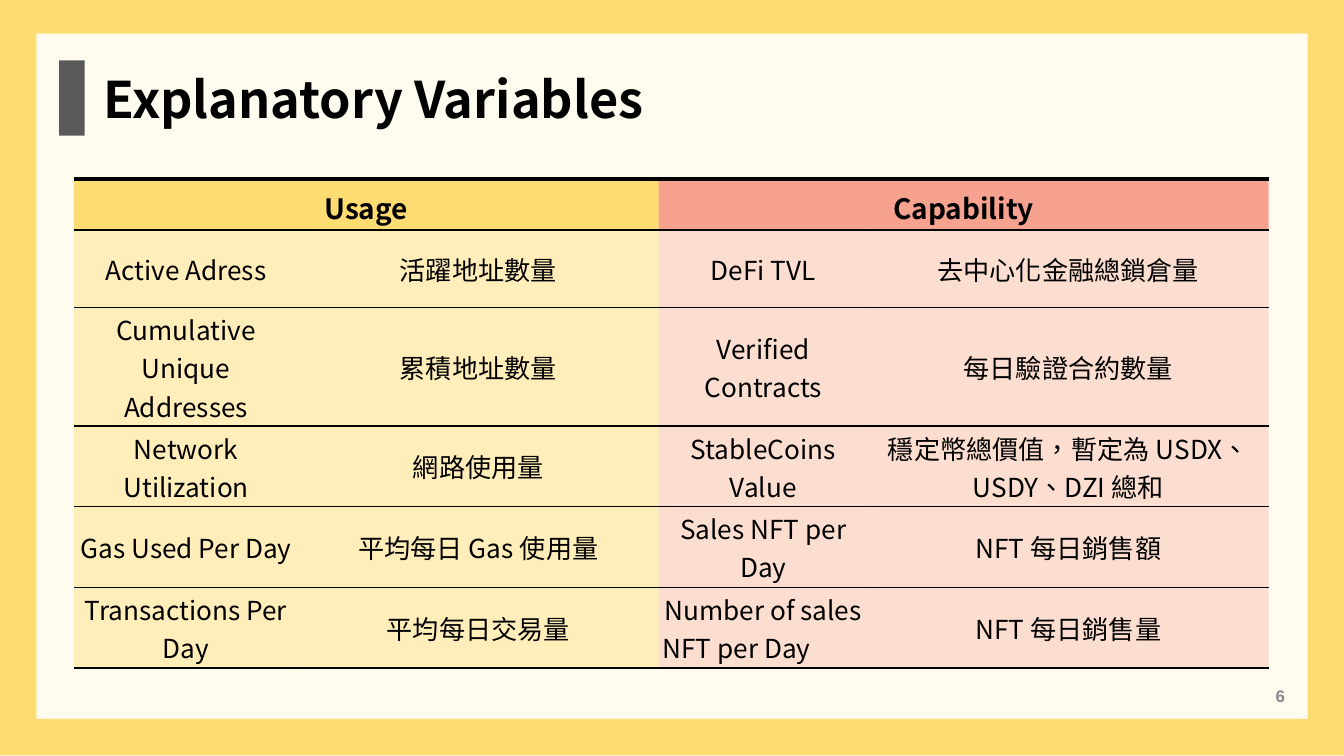
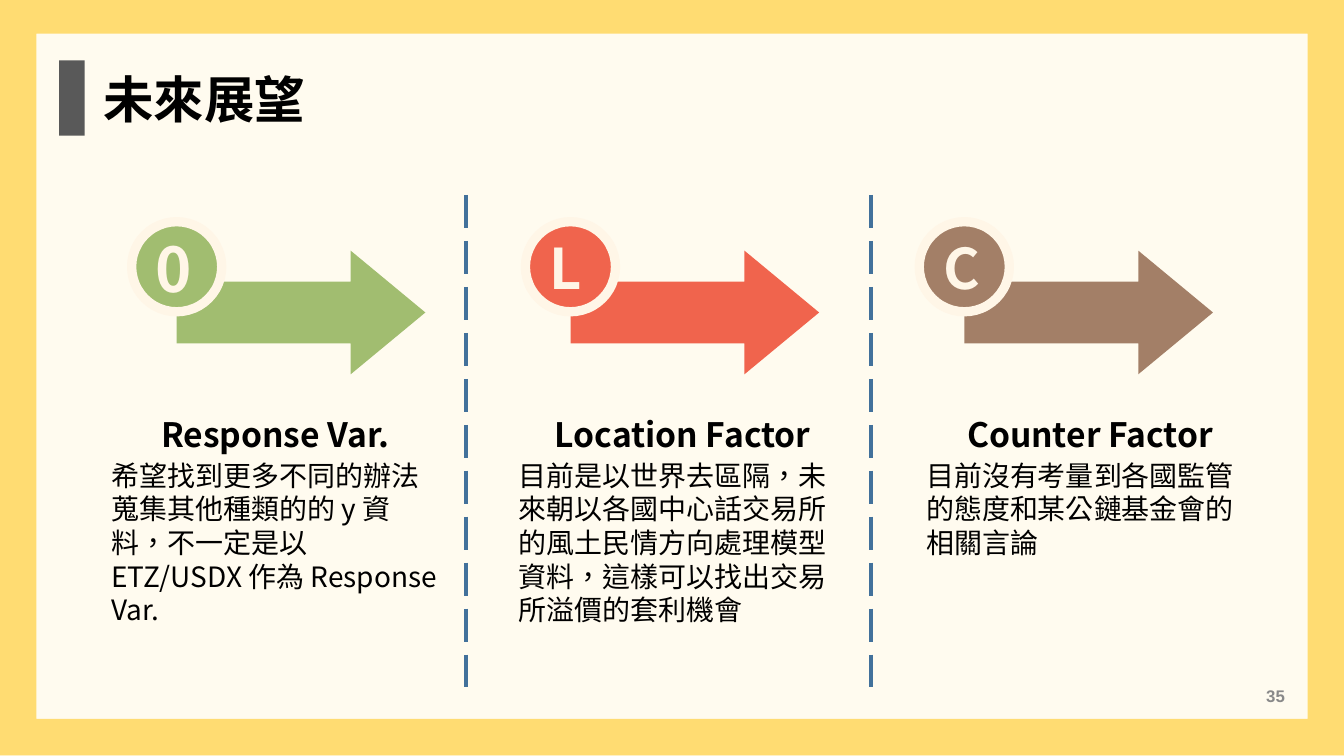
from dataclasses import dataclass

from lxml.etree import SubElement
from pptx import Presentation
from pptx.dml.color import RGBColor
from pptx.enum.dml import MSO_LINE
from pptx.enum.shapes import MSO_CONNECTOR, MSO_SHAPE as Preset
from pptx.enum.text import MSO_ANCHOR as Anchor, PP_ALIGN as Align
from pptx.oxml.ns import qn
from pptx.util import Inches, Pt


@dataclass(frozen=True)
class Theme:
    paper: str = "FFFBEF"
    ink: str = "000000"
    marker: str = "595959"
    page_gray: str = "898989"
    gold: str = "FFC000"
    coral: str = "F0644D"
    green: str = "A1BD70"
    brown: str = "A37F67"
    cream: str = "FFF6E7"
    divider: str = "42719B"
    font: str = "Noto Sans CJK SC"
    table_font: str = "Noto Sans CJK TC"
    page_font: str = "Arial"
    language: str = "zh-TW"
    title: int = 27
    heading: int = 18
    body: int = 15
    table_head: int = 15
    table_body: int = 14
    page: int = 9


THEME = Theme()

# Content of the variables table: heading, colour, header and body opacity
VARIABLE_GROUPS = [
    ("Usage", THEME.gold, 52, 22),
    ("Capability", THEME.coral, 59, 19),
]
VARIABLES = [
    ("Active Adress", "活躍地址數量", "DeFi TVL", "去中心化金融總鎖倉量"),
    ("Cumulative Unique Addresses", "累積地址數量",
     "Verified Contracts", "每日驗證合約數量"),
    ("Network Utilization", "網路使用量",
     "StableCoins Value", "穩定幣總價值，暫定為 USDX、USDY、DZI 總和"),
    ("Gas Used Per Day", "平均每日 Gas 使用量",
     "Sales NFT per Day", "NFT 每日銷售額"),
    ("Transactions Per Day", "平均每日交易量",
     "Number of sales NFT per Day\t", "NFT 每日銷售量"),
]
COLUMN_WIDTHS = [1.67, 2.68, 1.56, 2.98]
ROW_HEIGHTS = [0.38, 0.58, 0.88, 0.6, 0.6, 0.6]

# Content of the outlook columns: letter, letter size, letter top, colour, heading, text
OUTLOOKS = [
    ("0", 33, 1.68, THEME.green, "Response Var.",
     "希望找到更多不同的辦法蒐集其他種類的的 y 資料，不一定是以 ETZ/USDX 作為 Response Var."),
    ("L", 30, 1.7, THEME.coral, "Location Factor",
     "目前是以世界去區隔，未來朝以各國中心話交易所的風土民情方向處理模型資料，"
     "這樣可以找出交易所溢價的套利機會"),
    ("C", 30, 1.7, THEME.brown, "Counter Factor",
     "目前沒有考量到各國監管的態度和某公鏈基金會的相關言論"),
]
BADGE_LEFT, BADGE_STEP = 0.98, 2.93
TEXT_LEFT, TEXT_STEP = 0.76, 3.03
DIVIDER_LEFT, DIVIDER_STEP = 3.47, 3.01


def rgb(color):
    return RGBColor.from_string(color)


def set_opacity(properties, percent):
    for color in properties.find(qn("a:solidFill")):
        SubElement(color, qn("a:alpha"), val=str(percent * 1000))


def write(frame, text, size, color=THEME.ink, font=THEME.font, bold=False,
          align=None, spacing=None):
    paragraph = frame.paragraphs[0]
    paragraph.alignment = align
    paragraph.line_spacing = spacing
    paragraph._p.get_or_add_pPr().set("hangingPunct", "0")
    run = paragraph.add_run()
    run.text = text
    run.font.size = Pt(size)
    run.font.bold = bold
    run.font.name = font
    run.font.color.rgb = rgb(color)
    properties = run._r.get_or_add_rPr()
    properties.set("lang", THEME.language)
    SubElement(properties, qn("a:ea"), typeface=font)


def add_text(shapes, box, text, size, anchor=Anchor.TOP, **style):
    frame = shapes.add_textbox(*map(Inches, box)).text_frame
    frame.word_wrap = True
    frame.vertical_anchor = anchor
    frame.margin_left = frame.margin_right = Inches(0.07)
    frame.margin_top = frame.margin_bottom = Inches(0.04)
    write(frame, text, size, **style)


def add_shape(shapes, preset, box, fill, adjustments=()):
    shape = shapes.add_shape(preset, *map(Inches, box))
    shape.shadow.inherit = False
    shape.fill.solid()
    shape.fill.fore_color.rgb = rgb(fill)
    shape.line.fill.background()
    for index, value in enumerate(adjustments):
        shape.adjustments[index] = value
    return shape


# Parts shared by the slides
def add_slide(presentation):
    slide = presentation.slides.add_slide(presentation.slide_layouts[6])
    slide.background.fill.solid()
    slide.background.fill.fore_color.rgb = rgb(THEME.paper)
    return slide


def add_title(slide, text, width):
    add_shape(slide.shapes, Preset.RECTANGLE, (0.44, 0.45, 0.19, 0.56), THEME.marker)
    add_text(slide.shapes, (0.7, 0.47, width, 0.53), text, THEME.title, bold=True)


def add_page_frame(slide, number):
    add_text(slide.shapes, (7.38, 5.03, 2.25, 0.3), str(number), THEME.page,
             anchor=Anchor.MIDDLE, color=THEME.page_gray, font=THEME.page_font,
             bold=True, align=Align.RIGHT)
    frame = add_shape(slide.shapes, Preset.FRAME, (0, -0.02, 10, 5.64),
                      THEME.gold, [0.048])
    set_opacity(frame._element.spPr, 52)


# Table of explanatory variables
def style_cell(cell, fill, opacity, top, bottom):
    cell.vertical_anchor = Anchor.MIDDLE
    cell.margin_left = cell.margin_right = Inches(0.03)
    cell.margin_top = cell.margin_bottom = Inches(0.02)
    properties = cell._tc.get_or_add_tcPr()
    for side, width in (("L", 0), ("R", 0), ("T", top), ("B", bottom)):
        line = SubElement(properties, qn(f"a:ln{side}"), w=str(Pt(width)))
        if width:
            solid = SubElement(line, qn("a:solidFill"))
            SubElement(solid, qn("a:srgbClr"), val=THEME.ink)
        else:
            SubElement(line, qn("a:noFill"))
    cell.fill.solid()
    cell.fill.fore_color.rgb = rgb(fill)
    set_opacity(properties, opacity)


def add_variables_table(slide):
    box = (0.55, 1.33, sum(COLUMN_WIDTHS), sum(ROW_HEIGHTS))
    table = slide.shapes.add_table(len(ROW_HEIGHTS), len(COLUMN_WIDTHS),
                                   *map(Inches, box)).table
    table.horz_banding = False
    for column, width in zip(table.columns, COLUMN_WIDTHS):
        column.width = Inches(width)
    for row, height in zip(table.rows, ROW_HEIGHTS):
        row.height = Inches(height)

    for group, (heading, color, head_opacity, body_opacity) in enumerate(VARIABLE_GROUPS):
        first = 2 * group
        for column in (first, first + 1):
            style_cell(table.cell(0, column), color, head_opacity, 2.25, 1.5)
            for row, texts in enumerate(VARIABLES, 1):
                cell = table.cell(row, column)
                style_cell(cell, color, body_opacity, 1.5 if row == 1 else 0.75, 0.75)
                write(cell.text_frame, texts[column], THEME.table_body,
                      font=THEME.table_font, align=Align.CENTER)
        header = table.cell(0, first)
        header.merge(table.cell(0, first + 1))
        write(header.text_frame, heading, THEME.table_head, font=THEME.table_font,
              bold=True, align=Align.CENTER, spacing=1.15)


# Parts of the outlook columns
def add_badge_arrow(slide, left, letter, size, letter_top, color):
    shapes = slide.shapes.add_group_shape().shapes
    arrow = add_shape(shapes, Preset.DOWN_ARROW, (left + 0.8, 1.4, 0.92, 1.85),
                      color, [0.5, 0.604])
    arrow.rotation = 270
    badge = add_shape(shapes, Preset.OVAL, (left, 1.65, 0.67, 0.67), color)
    badge.line.color.rgb = rgb(THEME.cream)
    badge.line.width = Pt(5)
    add_text(shapes, (left + 0.11, letter_top, 0.44, 0.58), letter, size,
             color=THEME.cream, bold=True)


def add_divider(slide, left):
    x = Inches(left)
    divider = slide.shapes.add_connector(MSO_CONNECTOR.STRAIGHT,
                                         x, Inches(1.45), x, Inches(5.11))
    divider.line.color.rgb = rgb(THEME.divider)
    divider.line.width = Pt(2.25)
    divider.line.dash_style = MSO_LINE.LONG_DASH
    SubElement(divider._element.spPr, qn("a:effectLst"))


def add_description(slide, left, heading, text):
    shapes = slide.shapes.add_group_shape().shapes
    add_text(shapes, (left, 3.37, 2.58, 1.84), text, THEME.body)
    add_text(shapes, (left, 3.04, 2.58, 0.38), heading, THEME.heading,
             bold=True, align=Align.CENTER)


def build_variables_slide(presentation):
    slide = add_slide(presentation)
    add_title(slide, "Explanatory Variables", 6.8)
    add_variables_table(slide)
    add_page_frame(slide, 6)


def build_outlook_slide(presentation):
    slide = add_slide(presentation)
    for index, (letter, size, top, color, _, _) in enumerate(OUTLOOKS):
        add_badge_arrow(slide, BADGE_LEFT + index * BADGE_STEP, letter, size, top, color)
    for index in range(len(OUTLOOKS) - 1):
        add_divider(slide, DIVIDER_LEFT + index * DIVIDER_STEP)
    for index, (*_, heading, text) in enumerate(OUTLOOKS):
        add_description(slide, TEXT_LEFT + index * TEXT_STEP, heading, text)
    add_title(slide, "未來展望", 4.46)
    add_page_frame(slide, 35)


def main():
    presentation = Presentation()
    presentation.slide_width = Inches(10)
    presentation.slide_height = Inches(10) * 9 // 16
    build_variables_slide(presentation)
    build_outlook_slide(presentation)
    presentation.save("out.pptx")


if __name__ == "__main__":
    main()
